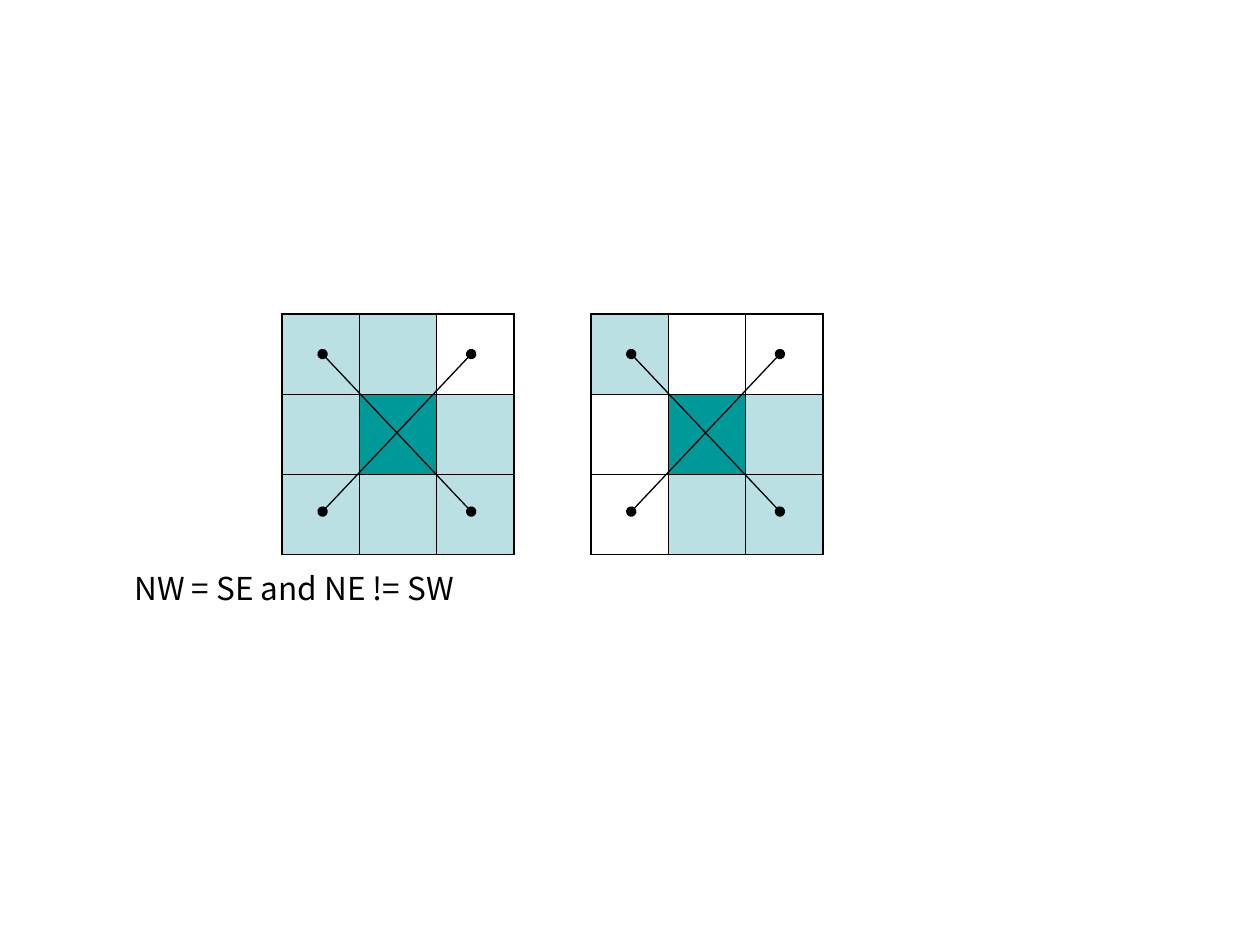
import dataclasses

import lxml.etree
import pptx
import pptx.dml.color
import pptx.enum.shapes
import pptx.enum.text
import pptx.oxml.ns
import pptx.util

Inches = pptx.util.Inches
qn = pptx.oxml.ns.qn


@dataclasses.dataclass(frozen=True)
class Theme:
    font: str = "Noto Sans CJK KR"
    text_size: float = 18
    ink: str = "000000"
    neighbour: str = "BBE0E3"
    centre: str = "009999"
    outer_border: float = 1.08
    inner_border: float = 0.45
    diagonal: float = 0.75


def color(code):
    return pptx.dml.color.RGBColor.from_string(code)


def write(para, text, font, size, ink):
    span = para.add_run()
    span.text = text
    span.font.name = font
    span.font.size = pptx.util.Pt(size)
    span.font.color.rgb = color(ink)


class Painter:
    def __init__(self, page, theme):
        self.page = page
        self.theme = theme

    def border(self, cell, position, side, points):
        """Insert one cell border ahead of the cell's fill."""
        line = lxml.etree.Element(qn(f"a:ln{side}"), w=str(pptx.util.Pt(points)))
        fill = lxml.etree.SubElement(line, qn("a:solidFill"))
        lxml.etree.SubElement(fill, qn("a:srgbClr"), val=self.theme.ink)
        cell._tc.get_or_add_tcPr().insert(position, line)

    def grid(self, left, top, width, height, pattern):
        """Draw a pixel grid: # is a neighbour, C the centre, . an empty pixel."""
        count = len(pattern)
        table = self.page.shapes.add_table(
            count, count, Inches(left), Inches(top), Inches(width), Inches(height)
        ).table
        table.first_row = table.horz_banding = False
        fills = {"#": self.theme.neighbour, "C": self.theme.centre}
        last = count - 1
        for row, marks in enumerate(pattern):
            for column, mark in enumerate(marks):
                cell = table.cell(row, column)
                if mark in fills:
                    cell.fill.solid()
                    cell.fill.fore_color.rgb = color(fills[mark])
                else:
                    cell.fill.background()
                outer = {"L": column == 0, "R": column == last,
                         "T": row == 0, "B": row == last}
                for position, (side, is_outer) in enumerate(outer.items()):
                    points = self.theme.outer_border if is_outer else self.theme.inner_border
                    self.border(cell, position, side, points)

    def dotted_line(self, start, end):
        """Draw a straight line with a dot at both ends."""
        line = self.page.shapes.add_connector(
            pptx.enum.shapes.MSO_CONNECTOR.STRAIGHT, *map(Inches, start + end)
        )
        line.line.color.rgb = color(self.theme.ink)
        line.line.width = pptx.util.Pt(self.theme.diagonal)
        outline = line.line._get_or_add_ln()
        for tag in ("a:headEnd", "a:tailEnd"):
            lxml.etree.SubElement(outline, qn(tag), type="oval")
        lxml.etree.SubElement(line._element.spPr, qn("a:effectLst"))

    def caption(self, left, top, width, height, text):
        box = self.page.shapes.add_textbox(*map(Inches, (left, top, width, height)))
        frame = box.text_frame
        frame.word_wrap = False
        frame.auto_size = pptx.enum.text.MSO_AUTO_SIZE.SHAPE_TO_FIT_TEXT
        para = frame.paragraphs[0]
        para.alignment = pptx.enum.text.PP_ALIGN.CENTER
        write(para, text, font=self.theme.font, size=self.theme.text_size, ink=self.theme.ink)


def main():
    deck = pptx.Presentation()
    deck.slide_width, deck.slide_height = Inches(10), Inches(7.5)
    painter = Painter(deck.slides.add_slide(deck.slide_layouts[6]), Theme())

    grids = {2.24: ("##.", "#C#", "###"), 4.69: ("#..", ".C#", ".##")}
    for left, pattern in grids.items():
        painter.grid(left, 2.49, 1.84, 1.91, pattern)

    north, south = 2.81, 4.06
    for left in grids:
        west, east = left + 0.32, left + 1.5
        painter.dotted_line((west, north), (east, south))
        painter.dotted_line((west, south), (east, north))

    painter.caption(0.94, 4.47, 2.79, 0.4, "NW = SE and NE != SW")
    deck.save("out.pptx")


if __name__ == "__main__":
    main()
